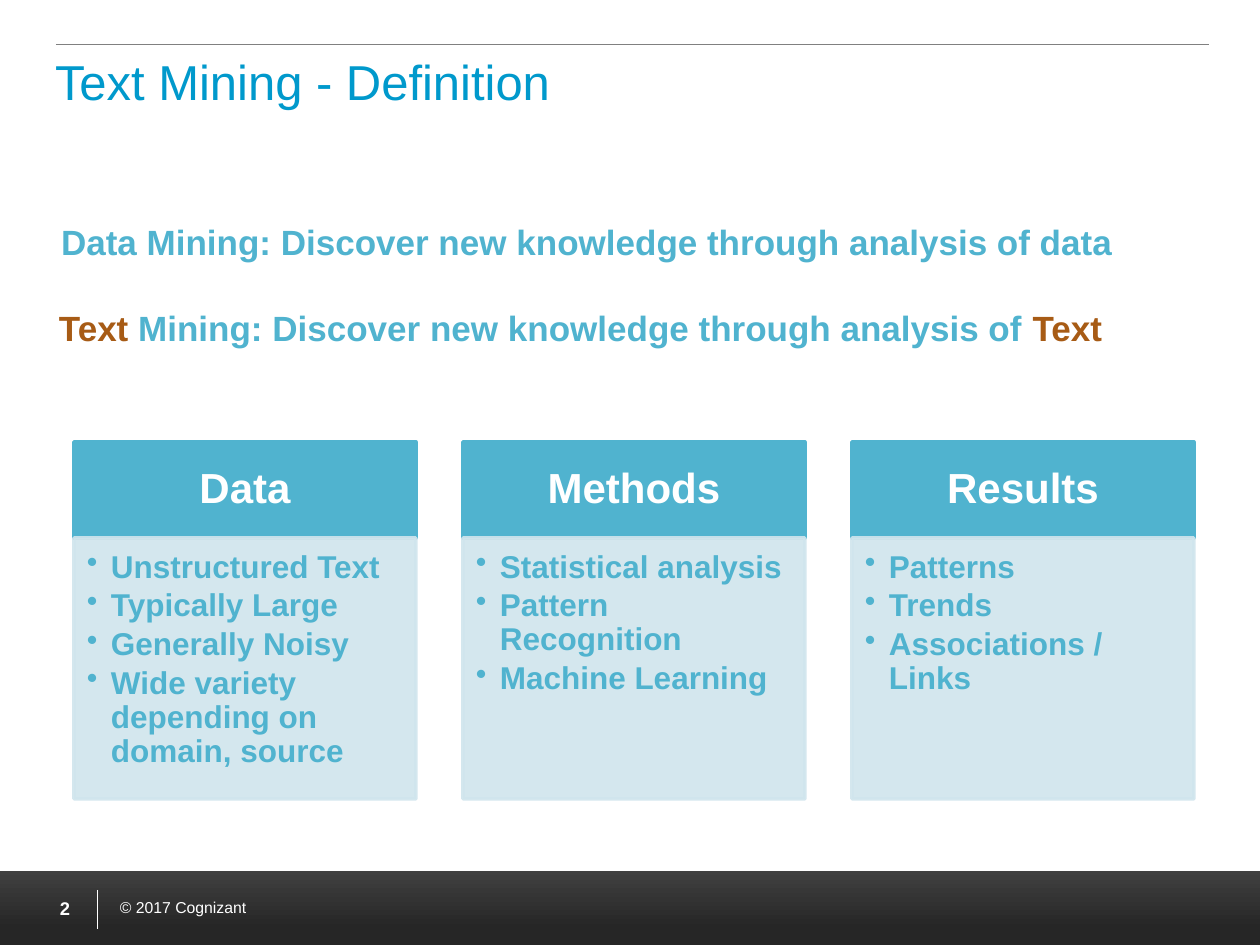
from lxml import etree
from pptx import Presentation
from pptx.dml.color import RGBColor
from pptx.enum.shapes import MSO_CONNECTOR, MSO_SHAPE
from pptx.enum.text import MSO_ANCHOR, PP_ALIGN
from pptx.oxml.ns import qn
from pptx.util import Emu, Pt

RECT = MSO_SHAPE.RECTANGLE
STRAIGHT = MSO_CONNECTOR.STRAIGHT
TOP, MIDDLE = MSO_ANCHOR.TOP, MSO_ANCHOR.MIDDLE
LEFT, CENTER, RIGHT = PP_ALIGN.LEFT, PP_ALIGN.CENTER, PP_ALIGN.RIGHT

WHITE = RGBColor(0xFF, 0xFF, 0xFF)
GRAY = RGBColor(0x80, 0x80, 0x80)
DARK = RGBColor(0x26, 0x26, 0x26)
COAL = RGBColor(0x40, 0x40, 0x40)
BLUE = RGBColor(0x00, 0x99, 0xCC)
TEAL = RGBColor(0x50, 0xB3, 0xCF)
PALE = RGBColor(0xD0, 0xE5, 0xED)
BROWN = RGBColor(0xA7, 0x5B, 0x15)

FONT = "Arial"
SCALE = 914400 / 126


def px(n):
    return Emu(round(n * SCALE))


class Deck:
    def __init__(self, wide, high):
        self.prs = Presentation()
        self.prs.slide_width, self.prs.slide_height = px(wide), px(high)
        self.slide = self.prs.slides.add_slide(self.prs.slide_layouts[6])
        self.shapes = self.slide.shapes

    def style(self, para, size, color, bold=False, align=LEFT):
        para.alignment = align
        font = para.font
        font.name, font.size, font.bold = FONT, Pt(size), bold
        if color is not None:
            font.color.rgb = color

    def frame(self, shape, pads, anchor):
        frame = shape.text_frame
        frame.word_wrap = True
        frame.vertical_anchor = anchor
        (frame.margin_left, frame.margin_top,
         frame.margin_right, frame.margin_bottom) = map(px, pads)
        return frame

    def text(self, box, runs, size, bold=False, align=LEFT, anchor=TOP):
        """Add a one-line box; runs are (text, color) pairs."""
        shape = self.shapes.add_textbox(*map(px, box))
        para = self.frame(shape, (13, 6, 13, 6), anchor).paragraphs[0]
        shared = runs[0][1] if len(runs) == 1 else None
        self.style(para, size, shared, bold, align)
        for words, color in runs:
            run = para.add_run()
            run.text = words
            if shared is None:
                run.font.color.rgb = color

    def line(self, x1, y1, x2, y2, color):
        line = self.shapes.add_connector(STRAIGHT, *map(px, (x1, y1, x2, y2)))
        line.line.color.rgb = color
        line.line.width = Pt(0.5)
        etree.SubElement(line.element.spPr, qn("a:effectLst"))

    def rect(self, box, color, alpha=100):
        shape = self.shapes.add_shape(RECT, *map(px, box))
        shape.shadow.inherit = False
        shape.fill.solid()
        shape.fill.fore_color.rgb = color
        shape.line.color.rgb = color
        shape.line.width = Pt(2)
        if alpha < 100:
            for tint in shape.element.spPr.iter(qn("a:srgbClr")):
                etree.SubElement(tint, qn("a:alpha"), val=str(alpha * 1000))
        return shape

    def band(self, box):
        shape = self.shapes.add_shape(RECT, *map(px, box))
        shape.shadow.inherit = False
        shape.line.fill.background()
        shape.fill.gradient()
        shape.fill.gradient_angle = 90
        stops = zip(shape.fill.gradient_stops, ((0.24, DARK), (1, COAL)))
        for stop, (place, color) in stops:
            stop.position = place
            stop.color.rgb = color

    def bullet(self, para):
        props = para._p.get_or_add_pPr()
        props.set("marL", str(px(24)))
        props.set("indent", str(px(-24)))
        etree.SubElement(props, qn("a:buChar"), char="•")

    def card(self, x, y, wide, head, items):
        # Header
        shape = self.rect((x, y, wide, 96), TEAL)
        para = self.frame(shape, (24, 14, 24, 14), MIDDLE).paragraphs[0]
        para.text = head
        para.line_spacing = 0.9
        self.style(para, 24, WHITE, True, CENTER)
        # Bulleted body
        shape = self.rect((x, y + 96, wide, 261), PALE, 90)
        frame = self.frame(shape, (13, 13, 18, 20), TOP)
        for i, item in enumerate(items):
            para = frame.add_paragraph() if i else frame.paragraphs[0]
            para.text = item
            para.line_spacing = 0.9
            para.space_after = Pt(2.7)
            self.bullet(para)
            self.style(para, 18, TEAL, True)


CARDS = (
    ("Data", ("Unstructured Text", "Typically Large", "Generally Noisy",
              "Wide variety depending on domain, source")),
    ("Methods", ("Statistical analysis", "Pattern Recognition",
                 "Machine Learning")),
    ("Results", ("Patterns", "Trends", "Associations / Links")),
)


def main():
    deck = Deck(1260, 945)

    # Footer
    deck.band((0, 871, 1260, 75))
    deck.text((107, 892, 265, 32), [("© 2017 Cognizant", WHITE)], 9)
    deck.line(97, 890, 97, 929, WHITE)
    deck.text((23, 878, 60, 60), [("2", WHITE)], 10.5, True, RIGHT, MIDDLE)

    # Title
    deck.line(56, 44, 1209, 44, GRAY)
    deck.text((42, 45, 1166, 83), [("Text Mining - Definition", BLUE)], 28)

    # Definitions
    deck.text((48, 214, 1166, 55), [
        ("Data Mining: Discover new knowledge through analysis of data", TEAL),
    ], 20, True)
    deck.text((46, 300, 1166, 55), [
        ("Text", BROWN),
        (" Mining: Discover new knowledge through analysis of ", TEAL),
        ("Text", BROWN),
    ], 20, True)

    # Cards
    for i, (head, items) in enumerate(CARDS):
        deck.card(74 + i * 389, 442, 342, head, items)

    deck.prs.save("out.pptx")


if __name__ == "__main__":
    main()
